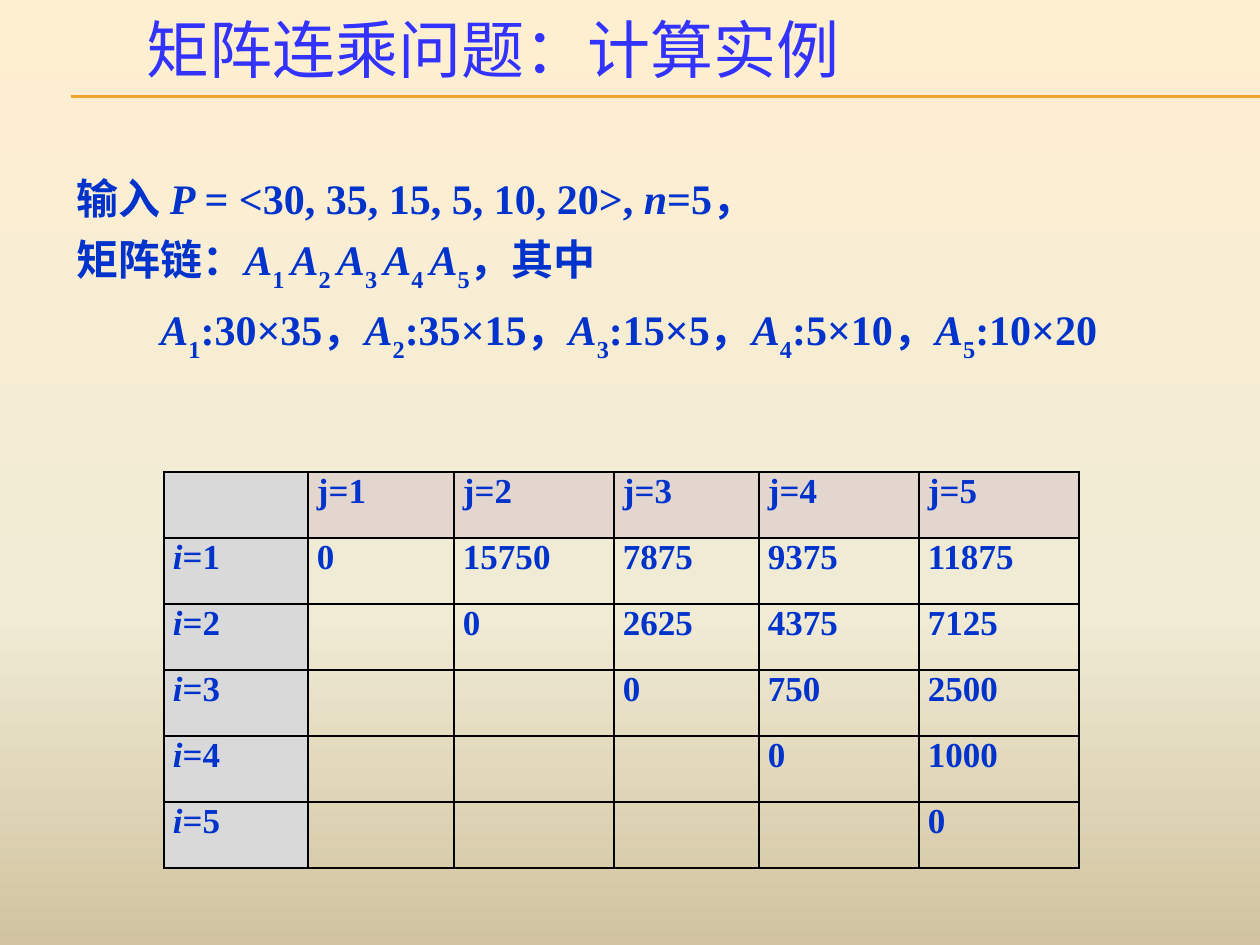
import copy

import pptx
import pptx.dml.color
import pptx.enum.shapes
import pptx.enum.text
import pptx.oxml.ns
import pptx.oxml.xmlchemy
import pptx.util

PX = 914400 / 126
COLORS = {
    "title": "3333FF",
    "text": "0033CC",
    "rule": "F0A22E",
    "border": "000000",
    "row_head": "D9D9D9",
    "column_head": "E2D6CF",
}
BACKGROUND = [(0, "FFEFD1"), (0.65, "F0EBD5"), (1, "D1C39F")]
ANCHOR = pptx.enum.text.MSO_ANCHOR
ALIGN = pptx.enum.text.PP_ALIGN
FIT = pptx.enum.text.MSO_AUTO_SIZE

DIMENSIONS = [30, 35, 15, 5, 10, 20]
COSTS = [
    [0, 15750, 7875, 9375, 11875],
    [0, 2625, 4375, 7125],
    [0, 750, 2500],
    [0, 1000],
    [0],
]


def px(value):
    return pptx.util.Emu(round(value * PX))


def rgb(name):
    return pptx.dml.color.RGBColor.from_string(COLORS.get(name, name))


def element(tag):
    return pptx.oxml.xmlchemy.OxmlElement(tag)


def apply(target, values):
    for name, value in values.items():
        setattr(target, name, value)


class SlideBuilder:
    title_font = {"name": "Lato", "size": pptx.util.Pt(36), "bold": False}
    body_font = {"name": "Times New Roman", "size": pptx.util.Pt(24), "bold": True}
    table_font = body_font | {"size": pptx.util.Pt(20)}

    def __init__(self, presentation):
        self.slide = presentation.slides.add_slide(presentation.slide_layouts[5])

    def background(self, stops):
        fill = self.slide.background.fill
        fill.gradient()
        fill.gradient_angle = 270
        first = next(self.slide.element.iter(pptx.oxml.ns.qn("a:gs")))
        first.addnext(copy.deepcopy(first))
        for stop, (position, color) in zip(fill.gradient_stops, stops):
            stop.position = position
            stop.color.rgb = rgb(color)

    def rule(self, left, top, right):
        line = self.slide.shapes.add_connector(
            pptx.enum.shapes.MSO_CONNECTOR.STRAIGHT, px(left), px(top), px(right), px(top)
        )
        line.line.color.rgb = rgb("rule")
        line.line.width = pptx.util.Pt(0.75)
        line._element.spPr.append(element("a:effectLst"))

    def runs(self, paragraph, parts, font, color="text"):
        for text, style in parts:
            run = paragraph.add_run()
            run.text = text
            apply(run.font, font | {"italic": style == "italic"})
            run.font.color.rgb = rgb(color)
            if style == "subscript":
                run.font._element.set("baseline", "-30000")

    def title(self, box, text):
        title = self.slide.shapes.title
        apply(title, dict(zip(("left", "top", "width", "height"), map(px, box))))
        apply(title.text_frame, {
            "vertical_anchor": ANCHOR.MIDDLE, "word_wrap": True, "auto_size": FIT.NONE,
        })
        paragraph = title.text_frame.paragraphs[0]
        paragraph.alignment = ALIGN.LEFT
        self.runs(paragraph, [(text, "plain")], self.title_font, "title")

    def text(self, box, lines):
        frame = self.slide.shapes.add_textbox(*map(px, box)).text_frame
        apply(frame, {
            "vertical_anchor": ANCHOR.MIDDLE, "word_wrap": True,
            "auto_size": FIT.SHAPE_TO_FIT_TEXT,
        })
        for index, (indent, parts) in enumerate(lines):
            paragraph = frame.add_paragraph() if index else frame.paragraphs[0]
            paragraph.space_before = pptx.util.Pt(6 if index else 0)
            paragraph._p.get_or_add_pPr().set("marL", str(px(indent)))
            self.runs(paragraph, parts, self.body_font)

    def cell(self, cell, parts, fill):
        apply(cell, {
            "margin_left": px(9), "margin_right": px(9), "margin_top": 0, "margin_bottom": 0,
        })
        paragraph = cell.text_frame.paragraphs[0]
        paragraph.alignment = ALIGN.JUSTIFY
        self.runs(paragraph, parts, self.table_font)
        properties = cell._tc.get_or_add_tcPr()
        for side in ("lnL", "lnR", "lnT", "lnB"):
            border = element(f"a:{side}")
            border.set("w", str(pptx.util.Pt(1)))
            solid = element("a:solidFill")
            color = element("a:srgbClr")
            color.set("val", COLORS["border"])
            solid.append(color)
            border.append(solid)
            properties.append(border)
        if fill:
            cell.fill.solid()
            cell.fill.fore_color.rgb = rgb(fill)
        else:
            cell.fill.background()

    def table(self, left, top, widths, row_height, rows):
        table = self.slide.shapes.add_table(
            len(rows), len(widths), px(left), px(top),
            px(sum(widths)), px(row_height * len(rows)),
        ).table
        apply(table, {"first_row": False, "horz_banding": False})
        for column, width in zip(table.columns, widths):
            column.width = px(width)
        for row_index, row in enumerate(rows):
            table.rows[row_index].height = px(row_height)
            for column_index, parts in enumerate(row):
                fill = None
                if column_index == 0:
                    fill = "row_head"
                elif row_index == 0:
                    fill = "column_head"
                self.cell(table.cell(row_index, column_index), parts, fill)


def input_lines():
    count = len(DIMENSIONS) - 1
    chain = [("矩阵链：", "plain")]
    sizes = []
    for number in range(1, count + 1):
        last = number == count
        rows, columns = DIMENSIONS[number - 1:number + 1]
        chain += [("A", "italic"), (f"{number}" if last else f"{number} ", "subscript")]
        sizes += [
            ("A", "italic"),
            (f"{number}", "subscript"),
            (f":{rows}×{columns}" + ("" if last else "，"), "plain"),
        ]
    chain.append(("，其中", "plain"))
    sequence = [
        ("输入 ", "plain"), ("P ", "italic"),
        (f"= <{', '.join(map(str, DIMENSIONS))}>, ", "plain"),
        ("n", "italic"), (f"={count}，", "plain"),
    ]
    return [(0, sequence), (0, chain), (84, sizes)]


def cost_rows():
    rows = [[[]] + [[(f"j={j}", "plain")] for j in range(1, len(COSTS) + 1)]]
    for i, costs in enumerate(COSTS, 1):
        head = [("i", "italic"), (f"={i}", "plain")]
        blanks = [[] for _ in range(i - 1)]
        rows.append([head] + blanks + [[(str(cost), "plain")] for cost in costs])
    return rows


def main():
    presentation = pptx.Presentation()
    apply(presentation, {"slide_width": px(1260), "slide_height": px(945)})
    builder = SlideBuilder(presentation)
    builder.background(BACKGROUND)
    for top in (96, 96, 97):
        builder.rule(71, top, 1260)
    builder.title((134, 0, 1097, 96), "矩阵连乘问题：计算实例")
    builder.table(164, 472, [144, 146, 160, 145, 160, 160], 66, cost_rows())
    builder.text((64, 175, 1150, 186), input_lines())
    presentation.save("out.pptx")


if __name__ == "__main__":
    main()
